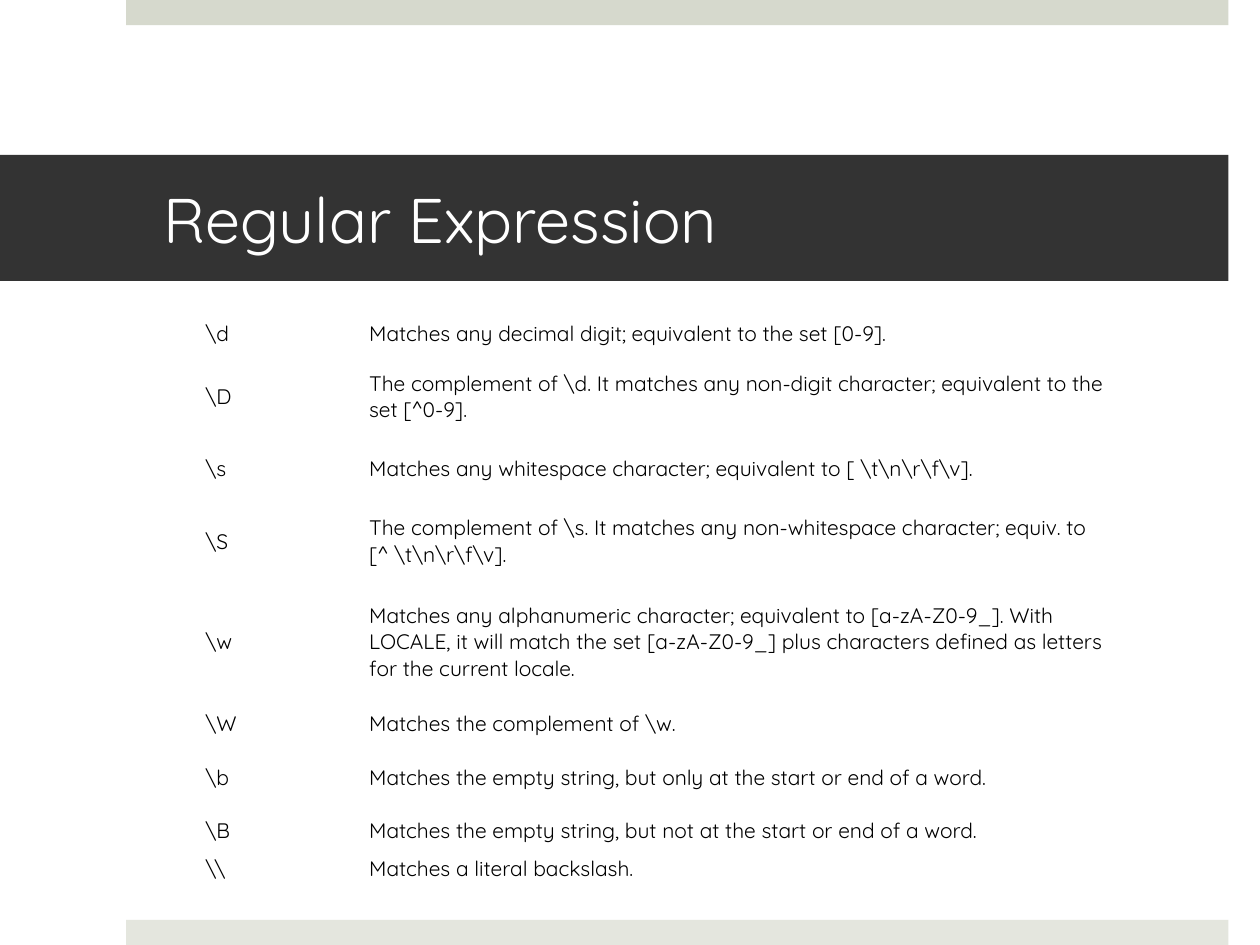
import pptx
import pptx.util
import pptx.dml.color
import pptx.enum.text
import pptx.enum.shapes

inch = pptx.util.Inches
mid = pptx.enum.text.MSO_ANCHOR.MIDDLE


def tint(code):
    return pptx.dml.color.RGBColor.from_string(code)


def style(para, size, code):
    para.alignment = pptx.enum.text.PP_ALIGN.LEFT
    looks = {"name": "Quicksand", "size": pptx.util.Pt(size), "bold": False}
    for key, val in looks.items():
        setattr(para.runs[0].font, key, val)
    para.runs[0].font.color.rgb = tint(code)


deck = pptx.Presentation()
wide, high = inch(10), inch(7.5)
deck.slide_width, deck.slide_height = wide, high
slide = deck.slides.add_slide(deck.slide_layouts[5])

thick = inch(0.2)
for top, code in ((0, "D6D9CD"), (high - thick, "E4E6DE")):
    bar = slide.shapes.add_shape(
        pptx.enum.shapes.MSO_SHAPE.RECTANGLE, wide // 10, top, int(wide * 0.875), thick)
    bar.shadow.inherit = False
    bar.fill.solid()
    bar.fill.fore_color.rgb = tint(code)
    bar.line.fill.background()

title = slide.shapes.title
place = {"left": 0, "top": inch(1.23), "width": int(wide * 0.975), "height": inch(1)}
for key, val in place.items():
    setattr(title, key, val)
title.fill.solid()
title.fill.fore_color.rgb = tint("333333")
frame = title.text_frame
frame.text = "Regular Expression"
form = {
    "margin_left": inch(1.3), "margin_right": inch(0.3),
    "margin_top": inch(0.05), "margin_bottom": inch(0.05),
    "vertical_anchor": mid, "word_wrap": True,
    "auto_size": pptx.enum.text.MSO_AUTO_SIZE.NONE,
}
for key, val in form.items():
    setattr(frame, key, val)
style(frame.paragraphs[0], 36, "FFFFFF")

rules = [
    (0.35, r"\d", "Matches any decimal digit; equivalent to the set [0-9]."),
    (0.65, r"\D", r"The complement of \d. It matches any non-digit character; "
                  "equivalent to the set [^0-9]."),
    (0.5, r"\s", r"Matches any whitespace character; equivalent to [ \t\n\r\f\v]."),
    (0.65, r"\S", r"The complement of \s. It matches any non-whitespace character; "
                  r"equiv. to [^ \t\n\r\f\v]."),
    (0.95, r"\w", "Matches any alphanumeric character; equivalent to [a-zA-Z0-9_]. "
                  "With LOCALE, it will match the set [a-zA-Z0-9_] plus characters "
                  "defined as letters for the current locale."),
    (0.35, r"\W", r"Matches the complement of \w."),
    (0.5, r"\b", "Matches the empty string, but only at the start or end of a word."),
    (0.35, r"\B", "Matches the empty string, but not at the start or end of a word."),
    (0.2, r"\\", "Matches a literal backslash."),
]
cols = (1.3, 5.96)
tall = sum(rule[0] for rule in rules)
table = slide.shapes.add_table(
    len(rules), len(cols), inch(1.59), inch(2.47), inch(sum(cols)), inch(tall)).table
table.first_row = table.horz_banding = False
for col, span in zip(table.columns, cols):
    col.width = inch(span)

pad = {
    "margin_left": inch(0.04), "margin_right": inch(0.04),
    "margin_top": inch(0.02), "margin_bottom": inch(0.02),
    "vertical_anchor": mid,
}
for row, (tall, *texts) in zip(table.rows, rules):
    row.height = inch(tall)
    for cell, text in zip(row.cells, texts):
        cell.text = text
        cell.fill.background()
        for key, val in pad.items():
            setattr(cell, key, val)
        style(cell.text_frame.paragraphs[0], 12, "000000")

deck.save("out.pptx")
